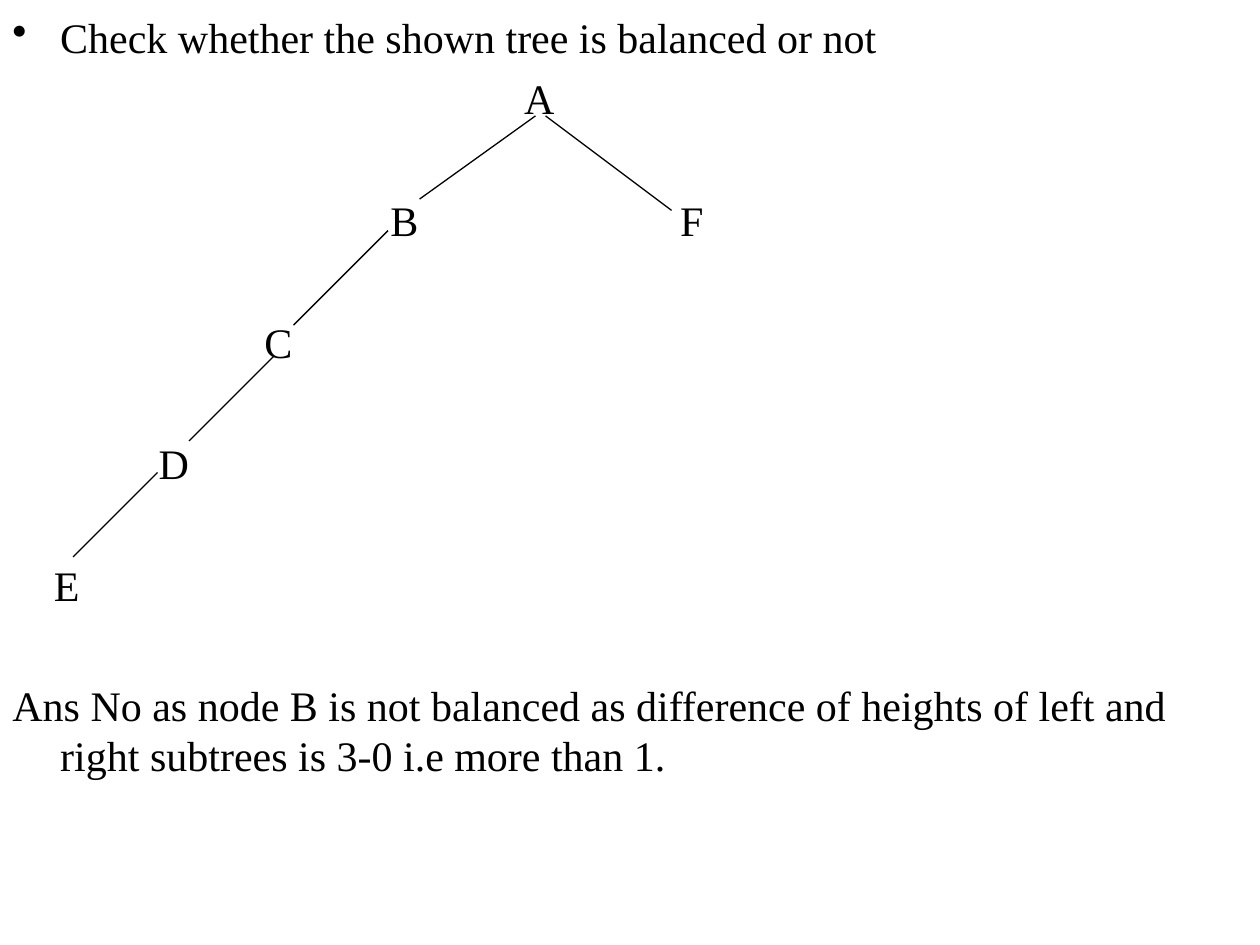
"""Build a slide that asks whether a binary tree is balanced."""
from lxml import etree
from pptx import Presentation
from pptx.dml.color import RGBColor
from pptx.enum import shapes, text
from pptx.oxml.ns import qn
from pptx.util import Inches, Pt

COLORS = {"ink": "000000", "paper": "FFFFFF"}
FONT = "Times New Roman"
QUESTION = "Check whether the shown tree is balanced or not"
ANSWER = ("Ans No as node B is not balanced as difference of heights "
          "of left and right subtrees is 3-0 i.e more than 1.")
NODES = [("A", 4.28, 0), ("B", 3.21, 1), ("F", 5.49, 1),
         ("C", 2.21, 2), ("D", 1.38, 3), ("E", 0.53, 4)]
EDGES = [((4.25, 0.92), (3.33, 1.58)), ((3.08, 1.83), (2.33, 2.58)),
         ((2.17, 2.83), (1.5, 3.5)), ((1.25, 3.75), (0.58, 4.42)),
         ((4.33, 0.92), (5.33, 1.67))]
TREE_TOP, LEVEL_GAP = 0.53, 0.965
NODE_WIDTH, LINE_HEIGHT = 0.5, 0.48
HANG = 0.38


def add_text(page, words, left, top, width, height, align=text.PP_ALIGN.LEFT,
             hang=0, bullet=None, spacing=None):
    box = page.shapes.add_textbox(*map(Inches, (left, top, width, height)))
    frame = box.text_frame
    frame.word_wrap = True
    if align == text.PP_ALIGN.CENTER:
        frame.margin_left = frame.margin_right = 0
    para = frame.paragraphs[0]
    props = para._p.get_or_add_pPr()
    if hang:
        props.set("marL", str(Inches(hang)))
        props.set("indent", str(-Inches(hang)))
    if bullet:
        etree.SubElement(props, qn("a:buChar")).set("char", bullet)
    para.alignment = align
    if spacing:
        para.line_spacing = Pt(spacing)
    span = para.add_run()
    span.text = words
    span.font.name = FONT
    span.font.size = Pt(24)
    span.font.color.rgb = RGBColor.from_string(COLORS["ink"])


def add_edge(page, start, end):
    edge = page.shapes.add_connector(
        shapes.MSO_CONNECTOR.STRAIGHT, *map(Inches, start + end))
    edge.line.color.rgb = RGBColor.from_string(COLORS["ink"])
    edge.line.width = Pt(0.75)
    etree.SubElement(edge._element.spPr, qn("a:effectLst"))


def main():
    deck = Presentation()
    deck.slide_width, deck.slide_height = Inches(10), Inches(7.5)
    page = deck.slides.add_slide(deck.slide_layouts[6])
    page.background.fill.solid()
    page.background.fill.fore_color.rgb = RGBColor.from_string(COLORS["paper"])

    add_text(page, QUESTION, 0, 0.04, 10, LINE_HEIGHT, hang=HANG, bullet="•")
    for name, center, level in NODES:
        add_text(page, name, center - NODE_WIDTH / 2,
                 TREE_TOP + level * LEVEL_GAP, NODE_WIDTH, LINE_HEIGHT,
                 align=text.PP_ALIGN.CENTER)
    for start, end in EDGES:
        add_edge(page, start, end)
    add_text(page, ANSWER, 0, 5.34, 10, 0.9, hang=HANG, spacing=28.8)
    deck.save("out.pptx")


if __name__ == "__main__":
    main()
